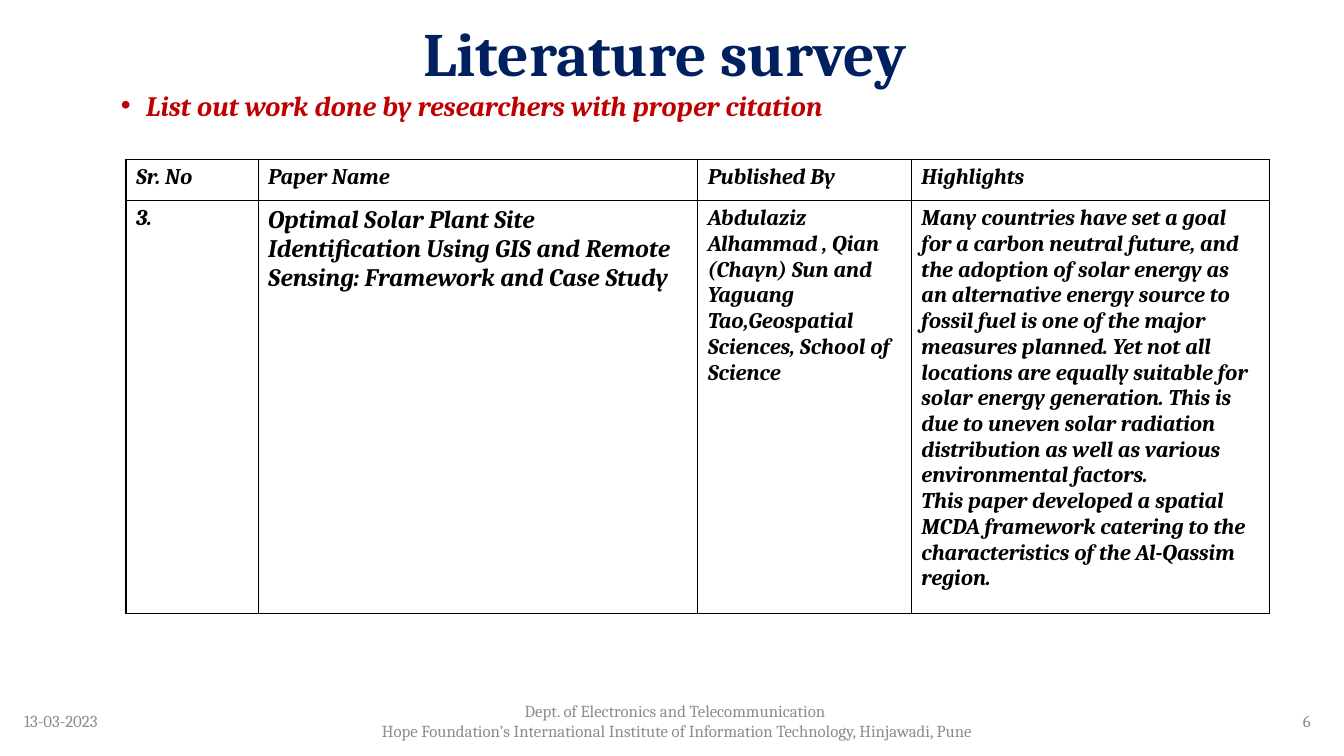
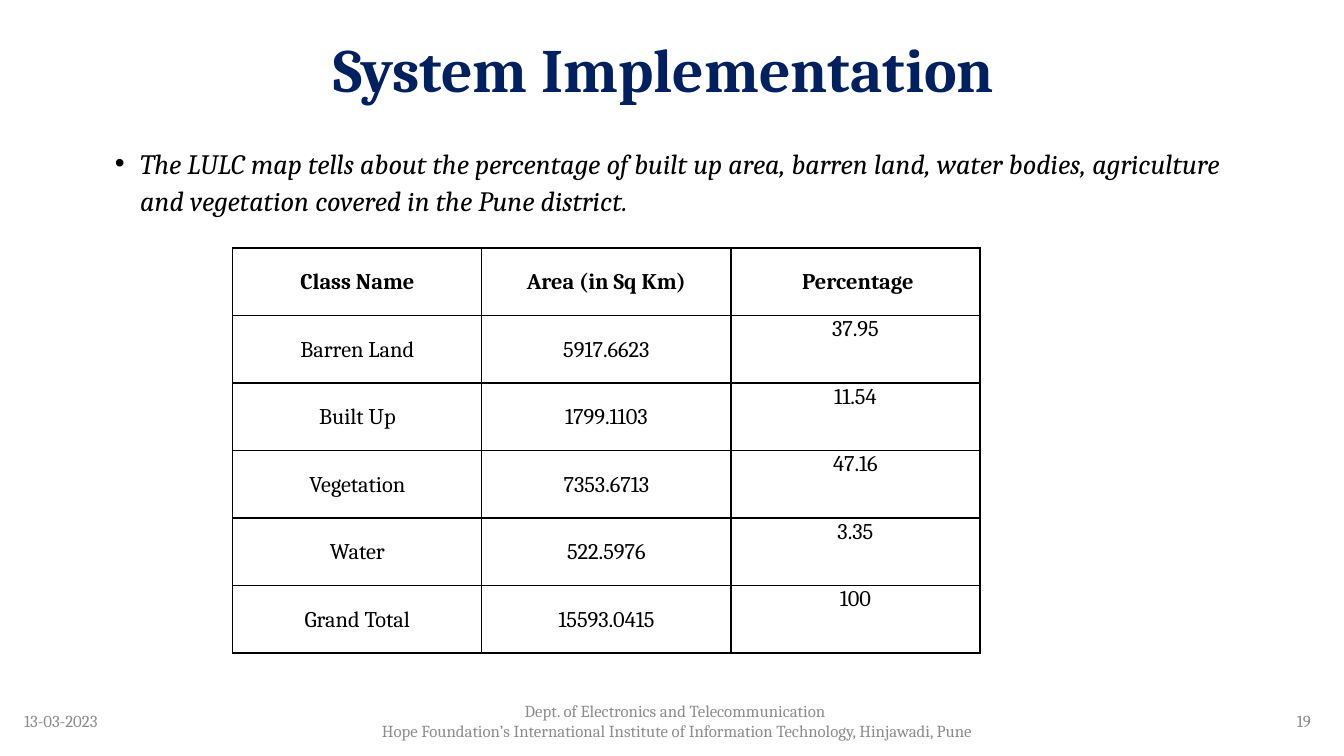
from dataclasses import dataclass
from typing import Any

from lxml.etree import SubElement
from pptx import Presentation
from pptx.dml.color import RGBColor
from pptx.enum.text import MSO_ANCHOR, MSO_AUTO_SIZE, PP_ALIGN
from pptx.oxml.ns import qn
from pptx.util import Emu, Pt


@dataclass(frozen=True)
class Theme:
    font: str = "Cambria"
    navy: str = "002060"
    red: str = "C00000"
    black: str = "000000"
    gray: str = "8C8C8C"
    head: int = 44
    lead: int = 20
    big: int = 18
    cell: int = 16
    foot: int = 12
    rule: int = 1


@dataclass(frozen=True)
class Box:
    left: int
    top: int
    width: int
    height: int


@dataclass(frozen=True)
class Style:
    size: int
    color: str
    bold: bool = False
    italic: bool = False
    align: PP_ALIGN = PP_ALIGN.LEFT
    space: float = 1.0


@dataclass(frozen=True)
class Cell:
    lines: tuple[str, ...]
    style: Style
    anchor: MSO_ANCHOR = MSO_ANCHOR.TOP


@dataclass(frozen=True)
class Grid:
    left: int
    top: int
    cols: tuple[int, ...]
    rows: tuple[int, ...]
    cells: list[list[Cell]]
    pad: tuple[int, int, int, int]


@dataclass(frozen=True)
class Page:
    title: str
    area: Box
    space: float
    lead: str
    tone: Style
    body: Box
    grid: Grid
    number: str


THEME = Theme()
WIDE, TALL = 1333, 750
INDENT = 25
DATE = ("13-03-2023",)
DEPT = (
    "Dept. of Electronics and Telecommunication ",
    "Hope Foundation’s International Institute of Information Technology, Hinjawadi, Pune",
)


def px(n: int) -> Emu:
    """Turn px, 100 to the inch, into EMU."""
    return Emu(n * 9144)


def place(shape: Any, box: Box) -> None:
    shape.left, shape.top = px(box.left), px(box.top)
    shape.width, shape.height = px(box.width), px(box.height)


def write(frame: Any, lines: tuple[str, ...], style: Style, bullet: bool = False) -> None:
    """Fill a text frame; a newline inside a line is a soft break."""
    frame.word_wrap = True
    for i, line in enumerate(lines):
        para = frame.paragraphs[0] if i == 0 else frame.add_paragraph()
        if bullet:
            props = para._p.get_or_add_pPr()
            props.set("marL", str(px(INDENT)))
            props.set("indent", str(-px(INDENT)))
            SubElement(props, qn("a:buFont"), typeface="Arial")
            SubElement(props, qn("a:buChar"), char="•")
        para.alignment = style.align
        para.line_spacing = style.space
        para.space_before = Pt(0)
        for j, text in enumerate(line.split("\n")):
            if j:
                para.add_line_break()
            run = para.add_run()
            run.text = text
            font = run.font
            font.name, font.size = THEME.font, Pt(style.size)
            font.bold, font.italic = style.bold, style.italic
            font.color.rgb = RGBColor.from_string(style.color)


def fill(holder: Any, box: Box, text: str, style: Style, anchor: MSO_ANCHOR,
         bullet: bool = False) -> None:
    """Move a placeholder and write its text."""
    place(holder, box)
    frame = holder.text_frame
    frame.auto_size = MSO_AUTO_SIZE.NONE
    frame.vertical_anchor = anchor
    write(frame, (text,), style, bullet)


def footer(slide: Any, number: str) -> None:
    parts = (
        (Box(14, 695, 119, 40), DATE, PP_ALIGN.LEFT),
        (Box(219, 695, 905, 40), DEPT, PP_ALIGN.CENTER),
        (Box(1257, 695, 53, 40), (number,), PP_ALIGN.RIGHT),
    )
    for box, lines, align in parts:
        shape = slide.shapes.add_textbox(0, 0, 0, 0)
        place(shape, box)
        shape.text_frame.vertical_anchor = MSO_ANCHOR.MIDDLE
        write(shape.text_frame, lines, Style(THEME.foot, THEME.gray, align=align))


def border(cell: Any) -> None:
    props = cell._tc.get_or_add_tcPr()
    for side in ("lnL", "lnR", "lnT", "lnB"):
        line = SubElement(props, qn(f"a:{side}"), w=str(Pt(THEME.rule)))
        paint = SubElement(line, qn("a:solidFill"))
        SubElement(paint, qn("a:srgbClr"), val=THEME.black)


def draw(slide: Any, grid: Grid) -> None:
    """Add the table of a grid."""
    table = slide.shapes.add_table(
        len(grid.rows), len(grid.cols), px(grid.left), px(grid.top),
        px(sum(grid.cols)), px(sum(grid.rows))).table
    table.first_row = table.horz_banding = False
    for col, width in zip(table.columns, grid.cols):
        col.width = px(width)
    for row, height, items in zip(table.rows, grid.rows, grid.cells):
        row.height = px(height)
        for cell, item in zip(row.cells, items):
            border(cell)
            cell.fill.background()
            (cell.margin_left, cell.margin_top,
             cell.margin_right, cell.margin_bottom) = map(px, grid.pad)
            cell.vertical_anchor = item.anchor
            write(cell.text_frame, item.lines, item.style)


def papers() -> Grid:
    note = Style(THEME.cell, THEME.black, bold=True, italic=True)
    name = Style(THEME.big, THEME.black, bold=True, italic=True)
    head = [Cell((text,), note)
            for text in ("Sr. No", "Paper Name", "Published By", "Highlights")]
    entry = [
        Cell(("3.",), note),
        Cell(("Optimal Solar Plant Site Identification Using GIS and Remote Sensing: "
              "Framework and Case Study",), name),
        Cell(("Abdulaziz Alhammad , Qian (Chayn) Sun and Yaguang\n"
              "Tao,Geospatial Sciences, School of Science",), note),
        Cell((
            "Many countries have set a goal for a carbon neutral future, and the adoption "
            "of solar energy as an alternative energy source to fossil fuel is one of the "
            "major measures planned. Yet not all locations are equally suitable for solar "
            "energy generation. This is due to uneven solar radiation distribution as well "
            "as various environmental factors.",
            "This paper developed a spatial MCDA framework catering to the characteristics "
            "of the Al-Qassim region.",
        ), note),
    ]
    return Grid(125, 158, (131, 436, 212, 355), (41, 392), [head, entry], (10, 5, 10, 5))


def areas() -> Grid:
    data = (
        ("Class Name", "Area (in Sq Km)", " Percentage"),
        ("Barren Land", "5917.6623", "37.95"),
        ("Built Up", "1799.1103", "11.54"),
        ("Vegetation", "7353.6713", "47.16"),
        ("Water", "522.5976", "3.35"),
        ("Grand Total", "15593.0415", "100"),
    )
    cells = []
    for r, row in enumerate(data):
        style = Style(THEME.cell, THEME.black, bold=r == 0, align=PP_ALIGN.CENTER)
        cells.append([
            Cell((text,), style, MSO_ANCHOR.TOP if r and c == 2 else MSO_ANCHOR.MIDDLE)
            for c, text in enumerate(row)])
    return Grid(231, 246, (247,) * 3, (67,) * len(data), cells, (1, 1, 1, 0))


def build(deck: Any, page: Page) -> None:
    slide = deck.slides.add_slide(deck.slide_layouts[1])
    head = Style(THEME.head, THEME.navy, bold=True, align=PP_ALIGN.CENTER, space=page.space)
    fill(slide.shapes.title, page.area, page.title, head, MSO_ANCHOR.MIDDLE)
    footer(slide, page.number)
    fill(slide.placeholders[1], page.body, page.lead, page.tone, MSO_ANCHOR.TOP, bullet=True)
    draw(slide, page.grid)


def main() -> None:
    deck = Presentation()
    deck.slide_width, deck.slide_height = px(WIDE), px(TALL)
    pages = (
        Page("Literature survey ", Box(0, 8, WIDE, 96), 0.9,
             "List out work done by researchers with proper citation",
             Style(THEME.lead, THEME.red, bold=True, italic=True, space=1.1),
             Box(110, 79, 1150, 476), papers(), "6"),
        Page("System Implementation", Box(-8, 0, WIDE, 128), 1.1,
             "The LULC map tells about the percentage of built up area, barren land, "
             "water bodies, agriculture and vegetation covered in the Pune district.",
             Style(THEME.lead, THEME.black, italic=True, space=1.1),
             Box(104, 137, 1150, 476), areas(), "19"),
    )
    for page in pages:
        build(deck, page)
    deck.save("out.pptx")


if __name__ == "__main__":
    main()
